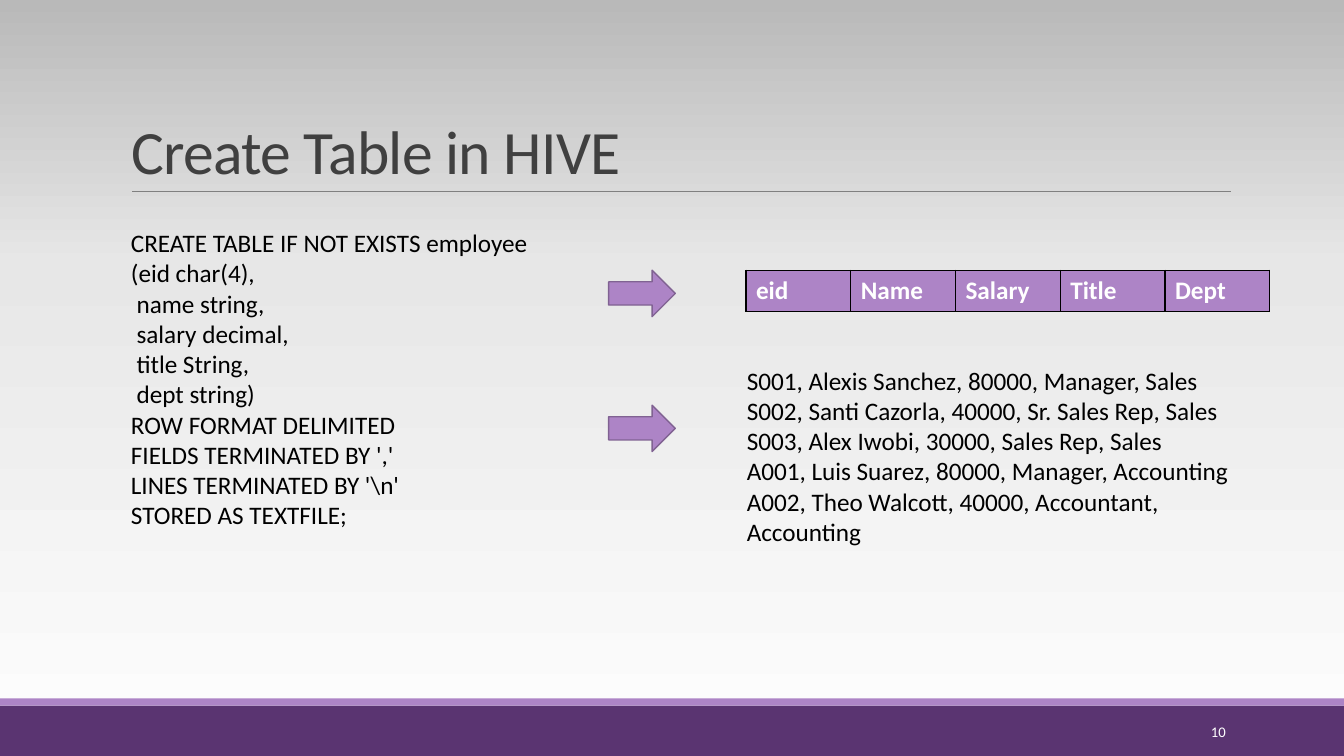
from copy import deepcopy
from lxml import etree
from pptx import Presentation
from pptx.dml.color import RGBColor
from pptx.enum import shapes, text
from pptx.oxml import ns
from pptx.util import Cm, Pt

TITLE = "Create Table in HIVE"
CODE = [
    "CREATE TABLE IF NOT EXISTS employee",
    "(eid char(4),",
    " name string,",
    " salary decimal,",
    " title String,",
    " dept string)",
    "ROW FORMAT DELIMITED",
    "FIELDS TERMINATED BY ','",
    "LINES TERMINATED BY '\\n'",
    "STORED AS TEXTFILE;",
]
HEADS = ["eid", "Name", "Salary", "Title", "Dept"]
STAFF = [
    "S001, Alexis Sanchez, 80000, Manager, Sales",
    "S002, Santi Cazorla, 40000, Sr. Sales Rep, Sales",
    "S003, Alex Iwobi, 30000, Sales Rep, Sales",
    "A001, Luis Suarez, 80000, Manager, Accounting",
    "A002, Theo Walcott, 40000, Accountant, Accounting",
]
NUMBER = "10"

FONT = "Calibri"
BLACK = RGBColor(0, 0, 0)
WHITE = RGBColor(255, 255, 255)
DARK = RGBColor(0x40, 0x40, 0x40)
GREY = RGBColor(0x80, 0x80, 0x80)
PLUM = RGBColor(0x5A, 0x34, 0x71)
LILAC = RGBColor(0xAD, 0x84, 0xC6)
EDGE = RGBColor(0x80, 0x62, 0x92)
SHADES = [
    (0, RGBColor(0xFE, 0xFE, 0xFE)),
    (0.65, RGBColor(0xE7, 0xE7, 0xE7)),
    (1, RGBColor(0xB9, 0xB9, 0xB9)),
]

WIDE, HIGH = 33.87, 19.05
BANDS = [(17.78, 1.27, PLUM), (17.6, 0.18, LILAC)]
ARROWS = [6.81, 10.21]


def style(para, size, color, bold=False):
    font = para.font
    font.name, font.size, font.bold = FONT, Pt(size), bold
    font.color.rgb = color


def shape(kind, box, fill, edge=None):
    item = slide.shapes.add_shape(kind, *map(Cm, box))
    item.shadow.inherit = False
    item.fill.solid()
    item.fill.fore_color.rgb = fill
    if edge is None:
        item.line.fill.background()
    else:
        item.line.color.rgb = edge
        item.line.width = Pt(1)


def write(box, lines, size=18, color=BLACK):
    frame = slide.shapes.add_textbox(*map(Cm, box)).text_frame
    frame.word_wrap = True
    frame.text = "\n".join(lines)
    for para in frame.paragraphs:
        style(para, size, color)
    return frame


def border(cell):
    props = cell._tc.get_or_add_tcPr()
    for side in ("a:lnL", "a:lnR", "a:lnT", "a:lnB"):
        line = etree.SubElement(props, ns.qn(side), w=str(Pt(1)))
        fill = etree.SubElement(line, ns.qn("a:solidFill"))
        etree.SubElement(fill, ns.qn("a:srgbClr"), val=str(BLACK))


deck = Presentation()
deck.slide_width, deck.slide_height = Cm(WIDE), Cm(HIGH)
slide = deck.slides.add_slide(deck.slide_layouts[5])

back = slide.background.fill
back.gradient()
back.gradient_angle = 90
first = back.gradient_stops[0]._gs
first.addnext(deepcopy(first))
for stop, (place, shade) in zip(back.gradient_stops, SHADES):
    stop.position = place
    stop.color.rgb = shade

for top, tall, fill in BANDS:
    shape(shapes.MSO_SHAPE.RECTANGLE, (0, top, WIDE, tall), fill)

rule = slide.shapes.add_connector(
    shapes.MSO_CONNECTOR.STRAIGHT, Cm(3.33), Cm(4.83), Cm(31.01), Cm(4.83))
rule.line.color.rgb = GREY
rule.line.width = Pt(0.5)
etree.SubElement(rule._element.spPr, ns.qn("a:effectLst"))

title = slide.shapes.title
title.left, title.top, title.width, title.height = map(Cm, (3.05, 0.79, 27.94, 4.04))
title.text = TITLE
title.text_frame.vertical_anchor = text.MSO_ANCHOR.BOTTOM
head = title.text_frame.paragraphs[0]
head.alignment = text.PP_ALIGN.LEFT
head.line_spacing = 0.85
style(head, 44, DARK)
head.runs[0]._r.get_or_add_rPr().set("spc", "-50")

grid = slide.shapes.add_table(
    1, len(HEADS), Cm(18.8), Cm(6.81), Cm(13.2), Cm(1.04)).table
for cell, name in zip(grid.rows[0].cells, HEADS):
    cell.text = name
    style(cell.text_frame.paragraphs[0], 18, WHITE, True)
    border(cell)
    cell.fill.solid()
    cell.fill.fore_color.rgb = LILAC

write((3.05, 5.61, 27.64, 7.95), CODE)
write((18.57, 9.07, 13.69, 4.11), STAFF)
for top in ARROWS:
    shape(shapes.MSO_SHAPE.RIGHT_ARROW, (15.34, top, 1.68, 1.17), LILAC, EDGE)

page = write((27.51, 17.93, 3.63, 1.02), [NUMBER], 10.5, WHITE)
page.vertical_anchor = text.MSO_ANCHOR.MIDDLE
page.paragraphs[0].alignment = text.PP_ALIGN.RIGHT

deck.save("out.pptx")
